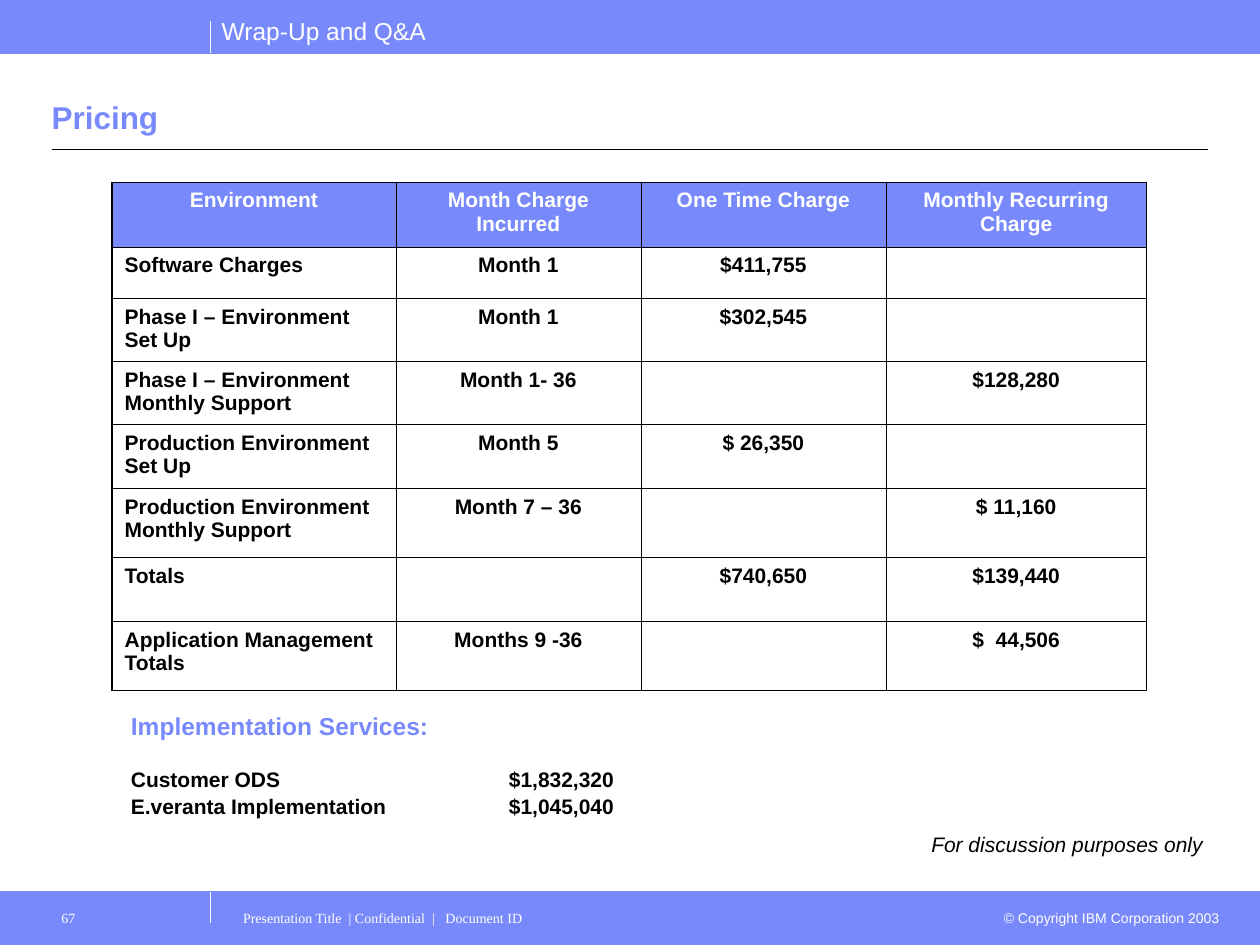
from collections import namedtuple

import pptx
import pptx.dml.color
import pptx.enum.shapes
import pptx.enum.text
import pptx.oxml
import pptx.oxml.ns
import pptx.util
from lxml import etree

Cm = pptx.util.Cm
Pt = pptx.util.Pt
ALIGN = pptx.enum.text.PP_ALIGN
ANCHOR = pptx.enum.text.MSO_ANCHOR
Box = namedtuple("Box", "x y w h")
Theme = namedtuple(
    "Theme", "accent dark light sans serif title heading body small thin outer rule")

THEME = Theme(accent="7889FB", dark="000000", light="FFFFFF",
              sans="Arial", serif="Times New Roman",
              title=18, heading=14, body=12, small=8,
              thin=0.45, outer=1.08, rule=0.75)

COL_WIDTHS = [5.72, 4.94, 4.94, 5.25]
ROW_HEIGHTS = [1.31, 1.03, 1.27, 1.27, 1.29, 1.39, 1.29, 1.39]
PRICES = [
    ["Environment", "Month Charge Incurred", "One Time Charge", "Monthly Recurring Charge"],
    ["Software Charges", "Month 1", "$411,755", ""],
    ["Phase I – Environment Set Up", "Month 1", "$302,545", ""],
    ["Phase I – Environment Monthly Support", "Month 1- 36", "", "$128,280"],
    ["Production Environment Set Up", "Month 5", "$ 26,350", ""],
    ["Production Environment Monthly Support", "Month 7 – 36", "", "$ 11,160"],
    ["Totals", "", "$740,650", "$139,440"],
    ["Application Management Totals", "Months 9 -36", "", "$  44,506"],
]


def rgb(value):
    return pptx.dml.color.RGBColor.from_string(value)


def write(p, text, size=THEME.body, color=THEME.dark, font=THEME.sans,
          bold=False, italic=False, align=ALIGN.LEFT, before=0):
    p.alignment = align
    if before:
        p.space_before = Pt(before)
    r = p.add_run()
    r.text = text
    r.font.size = Pt(size)
    r.font.name = font
    r.font.bold = bold
    r.font.italic = italic
    r.font.color.rgb = rgb(color)


def add_text(s, box, text, wrap=True, anchor=ANCHOR.TOP, left=0.25, top=0.13,
             right=0.25, **fmt):
    sp = s.shapes.add_textbox(*map(Cm, box))
    tf = sp.text_frame
    tf.word_wrap = wrap
    tf.vertical_anchor = anchor
    tf.margin_left, tf.margin_right = Cm(left), Cm(right)
    tf.margin_top, tf.margin_bottom = Cm(top), Cm(0.13)
    write(tf.paragraphs[0], text, **fmt)
    return tf


def add_line(s, x1, y1, x2, y2, color):
    cxn = s.shapes.add_connector(
        pptx.enum.shapes.MSO_CONNECTOR.STRAIGHT, *map(Cm, (x1, y1, x2, y2)))
    cxn.line.color.rgb = rgb(color)
    cxn.line.width = Pt(THEME.rule)
    etree.SubElement(cxn._element.spPr, pptx.oxml.ns.qn("a:effectLst"))


def add_band(s, box, tick_y, edge_y):
    sp = s.shapes.add_shape(
        pptx.enum.shapes.MSO_SHAPE.RECTANGLE, *map(Cm, box))
    sp.shadow.inherit = False
    sp.fill.solid()
    sp.fill.fore_color.rgb = rgb(THEME.accent)
    sp.line.color.rgb = rgb(THEME.accent)
    sp.line.width = Pt(THEME.rule)
    add_line(s, box.x, box.y + edge_y, box.x + box.w, box.y + edge_y, THEME.accent)
    add_line(s, box.x + 4.24, box.y + tick_y, box.x + 4.24, box.y + tick_y + 0.63,
             THEME.light)


def add_header(s, box):
    add_band(s, box, tick_y=0.43, edge_y=box.h)
    add_text(s, Box(box.x + 4.22, box.y + 0.2, 4.62, 0.86), "Wrap-Up and Q&A",
             wrap=False, size=THEME.heading, color=THEME.light)


def add_footer(s, box):
    add_band(s, box, tick_y=0, edge_y=0)
    small = dict(size=THEME.small, color=THEME.light)
    add_text(s, Box(box.x + 19.89, box.y + 0.23, 4.95, 0.61),
             "© Copyright IBM Corporation 2003", align=ALIGN.RIGHT, **small)
    add_text(s, Box(box.x + 4.65, box.y + 0.18, 15.24, 0.89),
             "Presentation Title  | Confidential  |   Document ID",
             top=0.18, font=THEME.serif, **small)
    add_text(s, Box(box.x + 0.84, box.y + 0.18, 3.38, 0.89), "67",
             left=0.4, top=0.18, font=THEME.serif, **small)


def add_title(s, box):
    add_text(s, Box(box.x, box.y, box.w, 1.55), "Pricing", anchor=ANCHOR.BOTTOM,
             left=0, right=0, size=THEME.title, color=THEME.accent, bold=True)
    add_line(s, box.x, box.y + box.h, box.x + box.w, box.y + box.h, THEME.dark)


def set_borders(cell, outer_sides):
    tc_pr = cell._tc.get_or_add_tcPr()
    for side in "LRTB":
        width = THEME.outer if side in outer_sides else THEME.thin
        tc_pr.append(pptx.oxml.parse_xml(
            f'<a:ln{side} {pptx.oxml.ns.nsdecls("a")} w="{int(Pt(width))}">'
            f'<a:solidFill><a:srgbClr val="{THEME.dark}"/></a:solidFill></a:ln{side}>'))


def add_price_table(s, box):
    n_rows, n_cols = len(PRICES), len(COL_WIDTHS)
    table = s.shapes.add_table(n_rows, n_cols, *map(Cm, box)).table
    table.first_row = table.horz_banding = False
    for col, width in zip(table.columns, COL_WIDTHS):
        col.width = Cm(width)
    for i, (row, height) in enumerate(zip(table.rows, ROW_HEIGHTS)):
        row.height = Cm(height)
        for j, cell in enumerate(row.cells):
            edges = {"T": i == 0, "B": i == n_rows - 1, "L": j == 0, "R": j == n_cols - 1}
            set_borders(cell, [side for side, outer in edges.items() if outer])
            header = i == 0
            if header:
                cell.fill.solid()
                cell.fill.fore_color.rgb = rgb(THEME.accent)
            else:
                cell.fill.background()
            if PRICES[i][j]:
                write(cell.text_frame.paragraphs[0], PRICES[i][j], bold=True,
                      color=THEME.light if header else THEME.dark,
                      align=ALIGN.CENTER if header or j else ALIGN.LEFT)


def add_services(s, box):
    tf = add_text(s, box, "Implementation Services:", size=THEME.heading,
                  color=THEME.accent, bold=True)
    services = [("Customer ODS", "$1,832,320", 15),
                ("E.veranta Implementation", "$1,045,040", 1)]
    for name, price, before in services:
        p = tf.add_paragraph()
        write(p, f"{name}\t{price}", bold=True, before=before)
        tabs = etree.SubElement(p._p.get_or_add_pPr(), pptx.oxml.ns.qn("a:tabLst"))
        etree.SubElement(tabs, pptx.oxml.ns.qn("a:tab"), pos=str(Cm(7.62)), algn="l")


def main():
    prs = pptx.Presentation()
    prs.slide_width, prs.slide_height = Cm(25.4), Cm(19.05)
    s = prs.slides.add_slide(prs.slide_layouts[6])
    add_header(s, Box(0, 0, 25.4, 1.07))
    add_footer(s, Box(0, 17.98, 25.4, 1.07))
    add_title(s, Box(1.04, 1.32, 23.32, 1.7))
    add_price_table(s, Box(2.26, 3.68, sum(COL_WIDTHS), sum(ROW_HEIGHTS)))
    add_services(s, Box(2.39, 14.2, 16.84, 2.39))
    add_text(s, Box(18.52, 16.64, 5.99, 0.76), "For discussion purposes only",
             wrap=False, italic=True, align=ALIGN.CENTER)
    prs.save("out.pptx")


if __name__ == "__main__":
    main()
